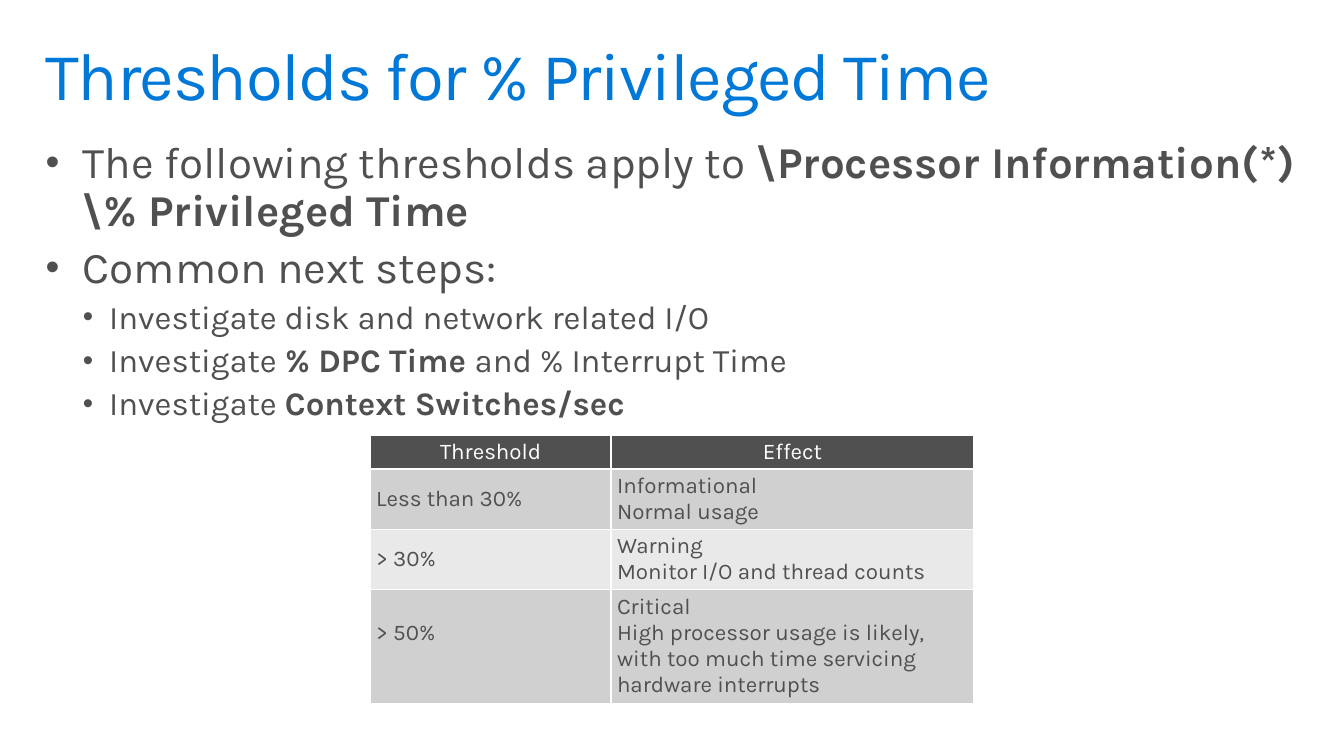
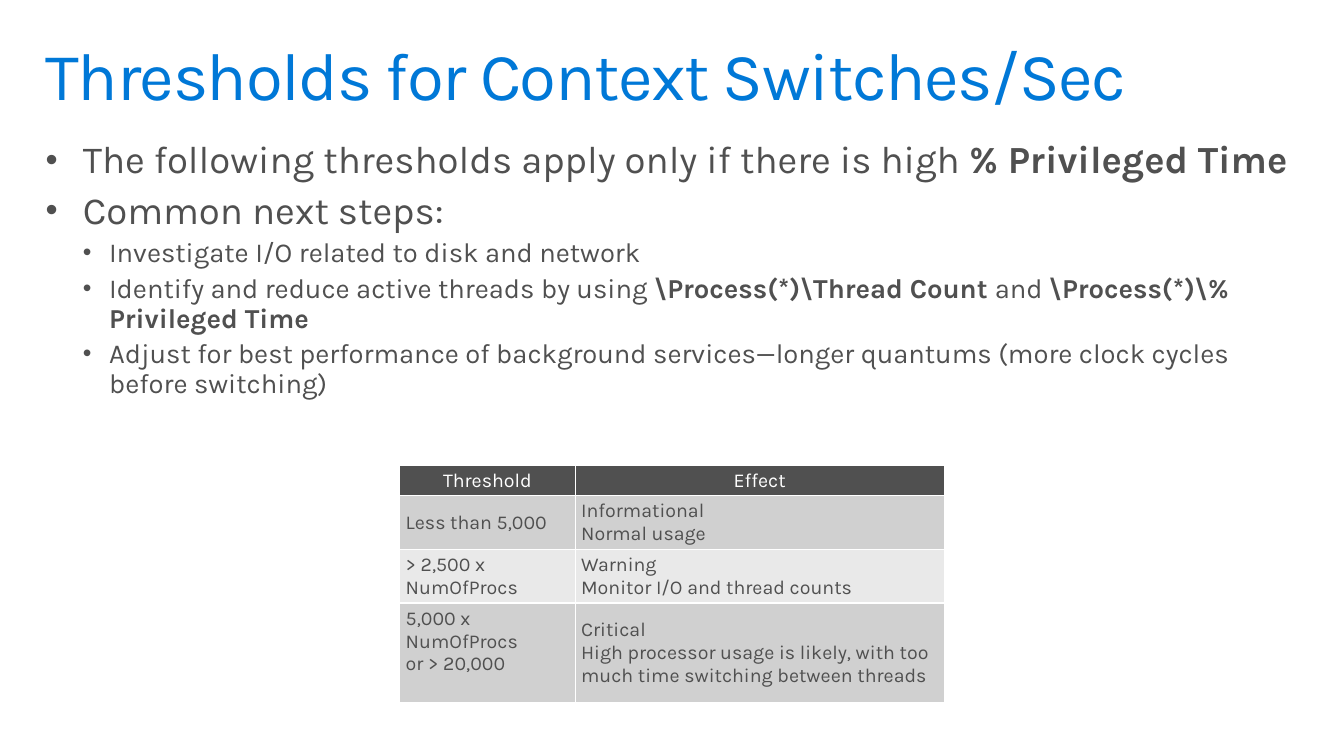
"""Build two slides of performance counter thresholds, each with bullets and a table."""
from dataclasses import dataclass

from lxml import etree
from pptx import Presentation
from pptx.dml.color import RGBColor
from pptx.enum import text
from pptx.oxml import ns
from pptx.util import Cm, Pt


@dataclass(frozen=True)
class Theme:
    font: str = "Karla"
    blue: str = "0078D7"
    grey: str = "505050"
    white: str = "FFFFFF"
    bands: tuple = ("D0D0D0", "E9E9E9")
    title_size: float = 48
    line_height: float = 1.17
    line_spacing: float = 0.9
    space_before: float = 0.23
    indents: tuple = ((0.94, 0.94), (1.6, 0.66))


THEME = Theme()
SLIDE_WIDTH, SLIDE_HEIGHT = Cm(33.87), Cm(19.05)
TABLE_BOTTOM = Cm(17.69)
LEFT, WIDTH = Cm(0.74), Cm(32.38)


def add_child(parent, tag, **attributes):
    return etree.SubElement(parent, ns.qn(tag), **attributes)


def style_font(font, size, color):
    font.name = THEME.font
    font.size = Pt(size)
    font.bold = False
    font.color.rgb = RGBColor.from_string(color)


def style_frame(frame):
    frame.word_wrap = True
    frame.vertical_anchor = text.MSO_ANCHOR.TOP
    frame.margin_left = frame.margin_right = Cm(0.41)
    frame.margin_top = frame.margin_bottom = Cm(0.25)


def add_title(slide, title):
    shape = slide.shapes.title
    shape.left, shape.top, shape.width, shape.height = LEFT, Cm(0.81), WIDTH, Cm(2.49)
    style_frame(shape.text_frame)
    shape.text_frame.auto_size = text.MSO_AUTO_SIZE.NONE
    paragraph = shape.text_frame.paragraphs[0]
    paragraph.alignment = text.PP_ALIGN.LEFT
    paragraph.line_spacing = THEME.line_spacing
    style_font(paragraph.font, THEME.title_size, THEME.blue)
    run = paragraph.add_run()
    run.text = title
    run._r.get_or_add_rPr().set("spc", "-100")


def format_bullet(paragraph, level, size):
    paragraph.level = level
    paragraph.line_spacing = THEME.line_spacing
    paragraph.space_before = Pt(round(size * THEME.space_before, 1))
    properties = paragraph._p.get_or_add_pPr()
    margin, hanging = THEME.indents[level]
    properties.set("marL", str(Cm(margin)))
    properties.set("indent", str(-Cm(hanging)))
    add_child(properties, "a:buSzPct", val="90000")
    add_child(properties, "a:buFont", typeface="Arial")
    add_child(properties, "a:buChar", char="•")
    style_font(paragraph.font, size, THEME.grey)


def add_bullets(slide, bullets, sizes):
    """Add bullets given as (level, text), where bars enclose bold words."""
    frame = slide.shapes.add_textbox(LEFT, Cm(3.3), WIDTH, Cm(5.28)).text_frame
    style_frame(frame)
    frame.auto_size = text.MSO_AUTO_SIZE.SHAPE_TO_FIT_TEXT
    for index, (level, content) in enumerate(bullets):
        paragraph = frame.add_paragraph() if index else frame.paragraphs[0]
        format_bullet(paragraph, level, sizes[level])
        for part, words in enumerate(content.split("|")):
            if words:
                run = paragraph.add_run()
                run.text = words
                run.font.bold = part % 2 == 1


def set_borders(cell):
    properties = cell._tc.get_or_add_tcPr()
    for position, side in enumerate(("a:lnL", "a:lnR", "a:lnT", "a:lnB")):
        line = etree.Element(ns.qn(side), w=str(Pt(1)))
        add_child(add_child(line, "a:solidFill"), "a:srgbClr", val=THEME.white)
        properties.insert(position, line)


def fill_cell(cell, content, size, is_header, band):
    cell.text = content
    cell.vertical_anchor = text.MSO_ANCHOR.MIDDLE
    cell.margin_left = cell.margin_right = Cm(0.15)
    cell.margin_top = cell.margin_bottom = Cm(0.08)
    cell.fill.solid()
    cell.fill.fore_color.rgb = RGBColor.from_string(THEME.grey if is_header else band)
    for paragraph in cell.text_frame.paragraphs:
        paragraph.alignment = text.PP_ALIGN.CENTER if is_header else text.PP_ALIGN.LEFT
        style_font(paragraph.font, size, THEME.white if is_header else THEME.grey)
    set_borders(cell)


def add_threshold_table(slide, levels, widths, heights, size):
    """Add a centred table that stands on the shared bottom line."""
    rows = [("Threshold", "Effect"), *levels]
    width, height = Cm(sum(widths)), Cm(sum(heights))
    table = slide.shapes.add_table(
        len(rows), len(widths), (SLIDE_WIDTH - width) // 2, TABLE_BOTTOM - height, width, height
    ).table
    for column, column_width in zip(table.columns, widths):
        column.width = Cm(column_width)
    for row_index, row in enumerate(rows):
        table.rows[row_index].height = Cm(heights[row_index])
        band = THEME.bands[(row_index + 1) % 2]
        for column_index, content in enumerate(row):
            cell = table.cell(row_index, column_index)
            fill_cell(cell, content, size, row_index == 0, band)
    table.cell(len(rows) - 1, 0).margin_bottom += Pt(size * THEME.line_height)


def threshold_levels(limits, cause):
    effects = (
        "Informational\nNormal usage",
        "Warning\nMonitor I/O and thread counts",
        f"Critical\nHigh processor usage is likely, with too much time {cause}",
    )
    return list(zip(limits, effects))


def add_threshold_slide(presentation, title, bullets, bullet_sizes, **table):
    slide = presentation.slides.add_slide(presentation.slide_layouts[5])
    add_bullets(slide, bullets, bullet_sizes)
    add_title(slide, title)
    add_threshold_table(slide, **table)


def main():
    presentation = Presentation()
    presentation.slide_width, presentation.slide_height = SLIDE_WIDTH, SLIDE_HEIGHT
    add_threshold_slide(
        presentation,
        "Thresholds for % Privileged Time",
        [
            (0, r"The following thresholds apply to |\Processor Information(*)\% Privileged Time|"),
            (0, "Common next steps:"),
            (1, "Investigate disk and network related I/O"),
            (1, "Investigate |% DPC Time |and % Interrupt Time"),
            (1, "Investigate |Context Switches/sec|"),
        ],
        (31.4, 23.5),
        levels=threshold_levels(
            ("Less than 30%", "> 30%", "> 50%"), "servicing hardware interrupts"
        ),
        widths=(6.07, 9.14),
        heights=(0.84, 1.5, 1.5, 2.87),
        size=16,
    )
    add_threshold_slide(
        presentation,
        "Thresholds for Context Switches/Sec",
        [
            (0, "The following thresholds apply only if there is high |% Privileged Time|"),
            (0, "Common next steps:"),
            (1, "Investigate I/O related to disk and network"),
            (1, r"Identify and reduce active threads by using |\Process(*)\Thread Count "
                r"|and |\Process(*)\% Privileged Time|"),
            (1, "Adjust for best performance of background services—longer quantums "
                "(more clock cycles before switching)"),
        ],
        (27.4, 19.6),
        levels=threshold_levels(
            ("Less than 5,000", "> 2,500 x NumOfProcs", "5,000 x NumOfProcs\nor > 20,000"),
            "switching between threads",
        ),
        widths=(4.42, 9.3),
        heights=(0.74, 1.35, 1.35, 2.51),
        size=14,
    )
    presentation.save("out.pptx")


if __name__ == "__main__":
    main()
